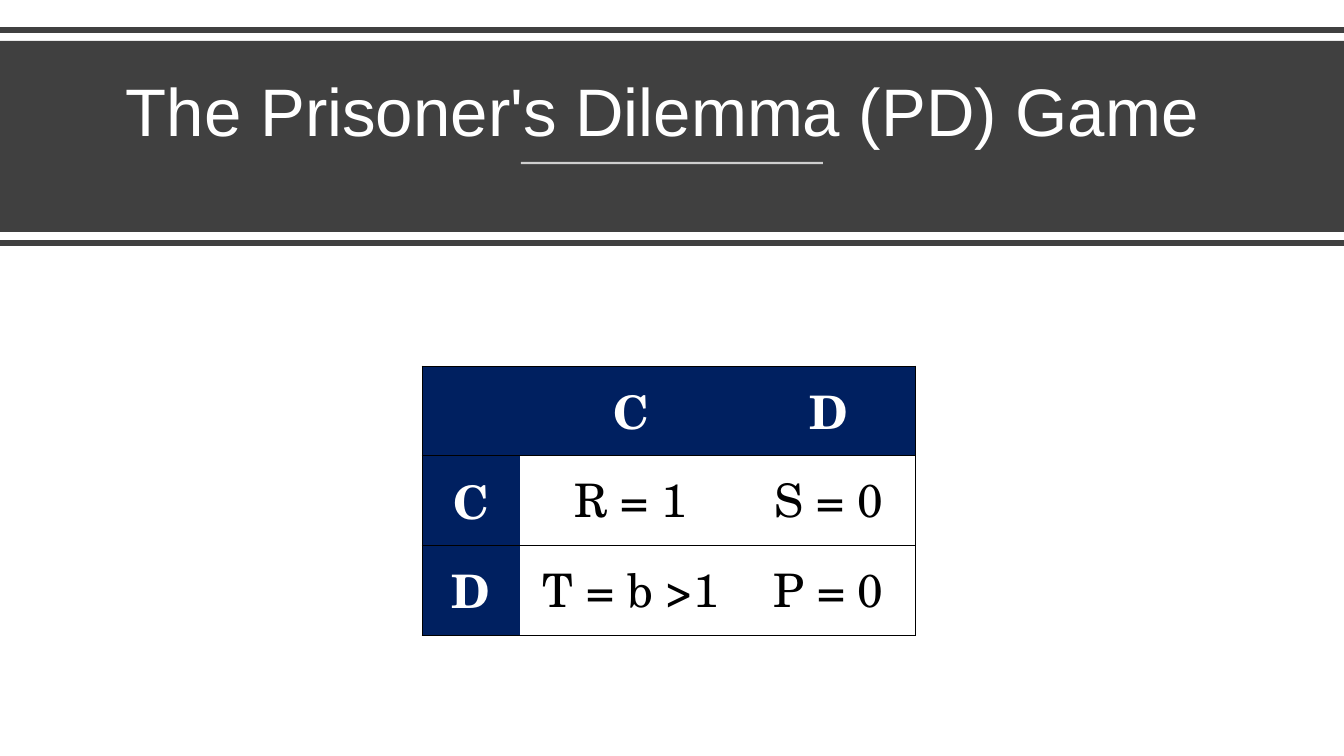
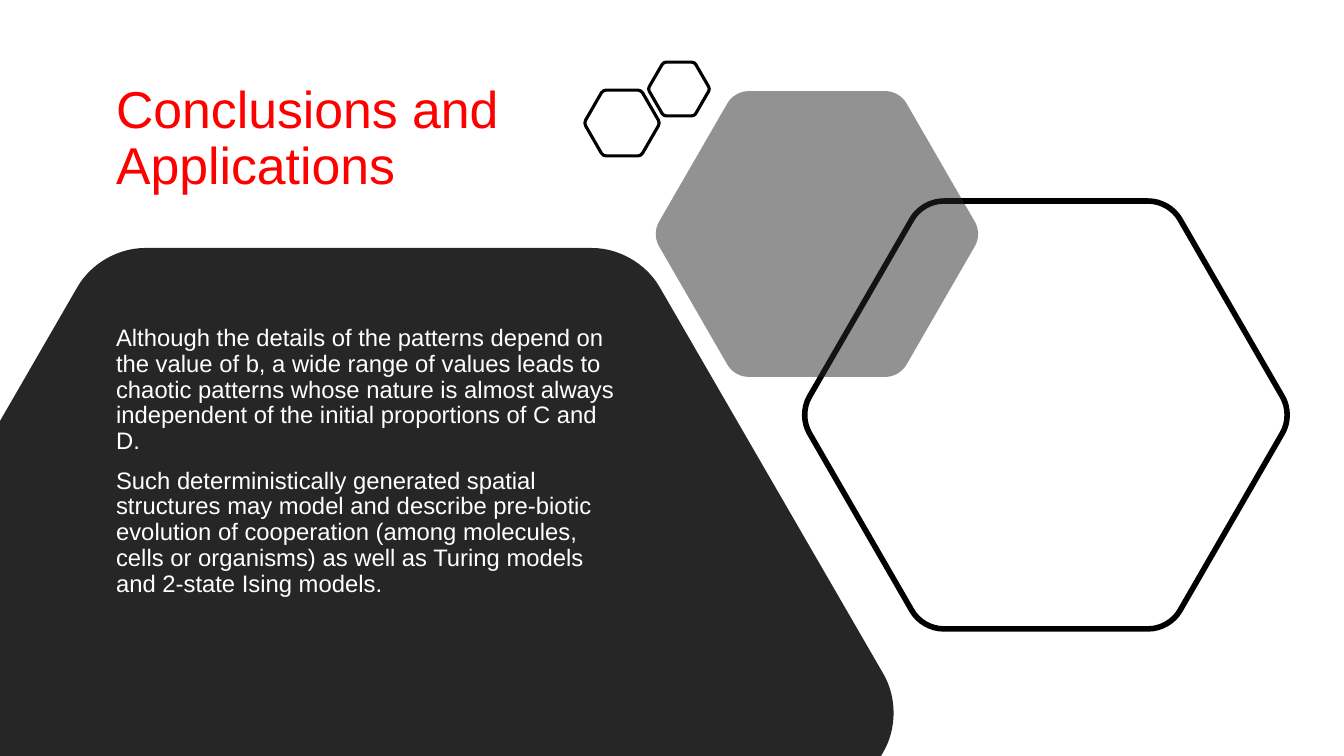
from collections import namedtuple
from math import cos, hypot, pi, sin

from lxml.etree import SubElement
from pptx import Presentation
from pptx.dml.color import RGBColor
from pptx.enum.shapes import MSO_CONNECTOR, MSO_SHAPE
from pptx.enum.text import MSO_ANCHOR, MSO_AUTO_SIZE, PP_ALIGN
from pptx.oxml.ns import qn
from pptx.util import Emu, Pt

WHITE = RGBColor(0xFF, 0xFF, 0xFF)
BLACK = RGBColor(0x00, 0x00, 0x00)
RED = RGBColor(0xFF, 0x00, 0x00)
NAVY = RGBColor(0x00, 0x20, 0x60)
BAND = RGBColor(0x40, 0x40, 0x40)
PANEL = RGBColor(0x26, 0x26, 0x26)

SANS = "Arial"
SERIF = "TeX Gyre Schola"
PLAIN_TABLE = "{2D5ABB26-0587-4C30-8999-92F81FD0307C}"
TITLE_ONLY, TITLE_AND_BODY = 5, 1
WIDTH, HEIGHT = 1344, 756
CURVE = 0.6

Box = namedtuple("Box", "left top width height")


def px(length):
    return Emu(round(length * 914400 / 100.8))


def place(shape, box):
    shape.left, shape.top, shape.width, shape.height = map(px, box)


def set_font(para, name, size, color, bold=False):
    para.font.name = name
    para.font.size = Pt(size)
    para.font.color.rgb = color
    para.font.bold = bold


def set_opacity(shape, percent):
    for color in shape._element.spPr.iter(qn("a:srgbClr")):
        SubElement(color, qn("a:alpha"), val=str(percent * 1000))


def fill_placeholder(holder, box, texts, size, color, anchor, align):
    place(holder, box)
    frame = holder.text_frame
    frame.text = "\n".join(texts)
    frame.word_wrap = True
    frame.auto_size = MSO_AUTO_SIZE.NONE
    frame.vertical_anchor = anchor
    for para in frame.paragraphs:
        para.alignment = align
        para.line_spacing = 0.9
        set_font(para, SANS, size, color)


def add_rule(page, left, right, y, color, weight):
    rule = page.shapes.add_connector(
        MSO_CONNECTOR.STRAIGHT, px(left), px(y), px(right), px(y))
    rule.line.color.rgb = color
    rule.line.width = Pt(weight)
    SubElement(rule._element.spPr, qn("a:effectLst"))
    return rule


def add_title_band(page, box, title):
    right, bottom = box.left + box.width, box.top + box.height
    add_rule(page, box.left, right, box.top, BAND, 4)
    band = page.shapes.add_shape(MSO_SHAPE.RECTANGLE, 0, 0, 0, 0)
    place(band, Box(box.left, box.top + 11, box.width, box.height - 22))
    band.shadow.inherit = False
    band.fill.solid()
    band.fill.fore_color.rgb = BAND
    band.line.fill.background()
    holder = page.shapes.title
    fill_placeholder(holder, Box(box.left + 58, box.top + 23, box.width - 116, 103),
                     [title], 48, WHITE, MSO_ANCHOR.BOTTOM, PP_ALIGN.CENTER)
    page.shapes._spTree.append(holder._element)
    middle = box.left + box.width / 2
    underline = add_rule(page, middle - 151, middle + 151, box.top + 133, WHITE, 1.5)
    set_opacity(underline, 75)
    add_rule(page, box.left, right, bottom, BAND, 4)


def add_borders(cell, sides):
    properties = cell._tc.get_or_add_tcPr()
    for index, side in enumerate(sides):
        line = SubElement(properties, qn(f"a:ln{side}"), w=str(Pt(0.5)))
        fill = SubElement(line, qn("a:solidFill"))
        SubElement(fill, qn("a:srgbClr"), val=str(BLACK))
        properties.insert(index, line)


def add_payoff_table(page, box, rows, column_widths):
    table_frame = page.shapes.add_table(len(rows), len(column_widths), *map(px, box))
    table = table_frame.table
    table.first_row = table.horz_banding = False
    table._tbl.tblPr.find(qn("a:tableStyleId")).text = PLAIN_TABLE
    for column, width in zip(table.columns, column_widths):
        column.width = px(width)
    last = len(column_widths) - 1
    for r, row in enumerate(rows):
        table.rows[r].height = px(box.height / len(rows))
        for c, text in enumerate(row):
            cell = table.cell(r, c)
            heading = r == 0 or c == 0
            cell.margin_left = cell.margin_right = px(18)
            cell.margin_top = cell.margin_bottom = Pt(6.56)
            if heading:
                cell.fill.solid()
                cell.fill.fore_color.rgb = NAVY
            else:
                cell.fill.background()
            if text:
                cell.text = text
                para = cell.text_frame.paragraphs[0]
                para.alignment = PP_ALIGN.CENTER
                set_font(para, SERIF, 33, WHITE if heading else BLACK, heading)
            sides = ["L"] * (c == 0) + ["R"] * (c == last) + ["T", "B"]
            add_borders(cell, sides)


def toward(start, end, distance):
    share = distance / hypot(end[0] - start[0], end[1] - start[1])
    return tuple(a + (b - a) * share for a, b in zip(start, end))


def round_corner(before, corner, after, trim):
    inner = trim * (1 - CURVE)
    return [toward(corner, before, trim), toward(corner, before, inner),
            toward(corner, after, inner), toward(corner, after, trim)]


def bend_segments(shape, curve_starts):
    outline = next(shape._element.iter(qn("a:path")))
    segments = list(outline)
    for i in curve_starts:
        curve = segments[i]
        curve.tag = qn("a:cubicBezTo")
        for segment in segments[i + 1:i + 3]:
            curve.append(segment[0])
            outline.remove(segment)


def add_rounded_polygon(shapes, corners, trims, fill=None, weight=None):
    points, curve_starts = [], []
    for i, (corner, trim) in enumerate(zip(corners, trims)):
        if trim:
            curve_starts.append(len(points) + 1)
            after = corners[(i + 1) % len(corners)]
            points += round_corner(corners[i - 1], corner, after, trim)
        else:
            points.append(corner)
    points = [(px(x), px(y)) for x, y in points]
    builder = shapes.build_freeform(*points[0])
    builder.add_line_segments(points[1:], close=True)
    shape = builder.convert_to_shape()
    bend_segments(shape, curve_starts)
    shape.shadow.inherit = False
    if fill is None:
        shape.fill.background()
    else:
        shape.fill.solid()
        shape.fill.fore_color.rgb = fill
    if weight is None:
        shape.line.fill.background()
    else:
        shape.line.color.rgb = BLACK
        shape.line.width = Pt(weight)
    return shape


def add_hexagon(shapes, x, y, radius, **look):
    corners = [(x + radius * cos(i * pi / 3), y + radius * sin(i * pi / 3))
               for i in range(6)]
    return add_rounded_polygon(shapes, corners, [radius * 0.085] * 6, **look)


def add_hexagon_cluster(page, box):
    add_hexagon(page.shapes, box.left + 461, box.top + 353, 247, weight=4)
    veil = add_hexagon(page.shapes, box.left + 232, box.top + 172, 165, fill=PANEL)
    set_opacity(veil, 50)
    pair = page.shapes.add_group_shape()
    for x, y, radius in ((37, 61, 38), (94, 27, 31)):
        add_hexagon(pair.shapes, box.left + x, box.top + y, radius, weight=2.25)


def add_text_panel(page, box, texts):
    outline = [(0, box.height), (0, 173), (100, 0), (637, 0), (906, 465),
               (881, box.height)]
    corners = [(box.left + x, box.top + y) for x, y in outline]
    add_rounded_polygon(page.shapes, corners, [0, 0, 45, 45, 45, 0], fill=PANEL)
    holder = page.placeholders[1]
    fill_placeholder(holder, Box(box.left + 106, box.top + 73, 523, 341),
                     texts, 17, WHITE, MSO_ANCHOR.TOP, PP_ALIGN.LEFT)
    for para in holder.text_frame.paragraphs:
        para.space_before = Pt(10)
        properties = para._p.get_or_add_pPr()
        properties.set("marL", "0")
        properties.set("indent", "0")
        bullet = SubElement(properties, qn("a:buNone"))
        properties.find(qn("a:defRPr")).addprevious(bullet)
    page.shapes._spTree.append(holder._element)


def build_game_page(deck):
    page = deck.slides.add_slide(deck.slide_layouts[TITLE_ONLY])
    add_title_band(page, Box(0, 30, WIDTH, 213), "The Prisoner's Dilemma (PD) Game ")
    rows = [("", "C", "D"), ("C", "R = 1", "S = 0"), ("D", "T = b >1", "P = 0")]
    add_payoff_table(page, Box(422, 366, 493, 245), rows, (98, 222, 173))


def build_conclusions_page(deck):
    page = deck.slides.add_slide(deck.slide_layouts[TITLE_AND_BODY])
    fill_placeholder(page.shapes.title, Box(106, 49, 472, 181),
                     ["Conclusions and Applications"], 37, RED,
                     MSO_ANCHOR.MIDDLE, PP_ALIGN.LEFT)
    add_hexagon_cluster(page, Box(585, 62, 705, 568))
    add_text_panel(page, Box(0, 248, 894, 508), [
        "Although the details of the patterns depend on the value of b, a wide "
        "range of values leads to chaotic patterns whose nature is almost always "
        "independent of the initial proportions of C and D.",
        "Such deterministically generated spatial structures may model and "
        "describe pre-biotic evolution of cooperation (among molecules, cells or "
        "organisms) as well as Turing models and 2-state Ising models.",
    ])


def main():
    deck = Presentation()
    deck.slide_width, deck.slide_height = px(WIDTH), px(HEIGHT)
    build_game_page(deck)
    build_conclusions_page(deck)
    deck.save("out.pptx")


if __name__ == "__main__":
    main()
